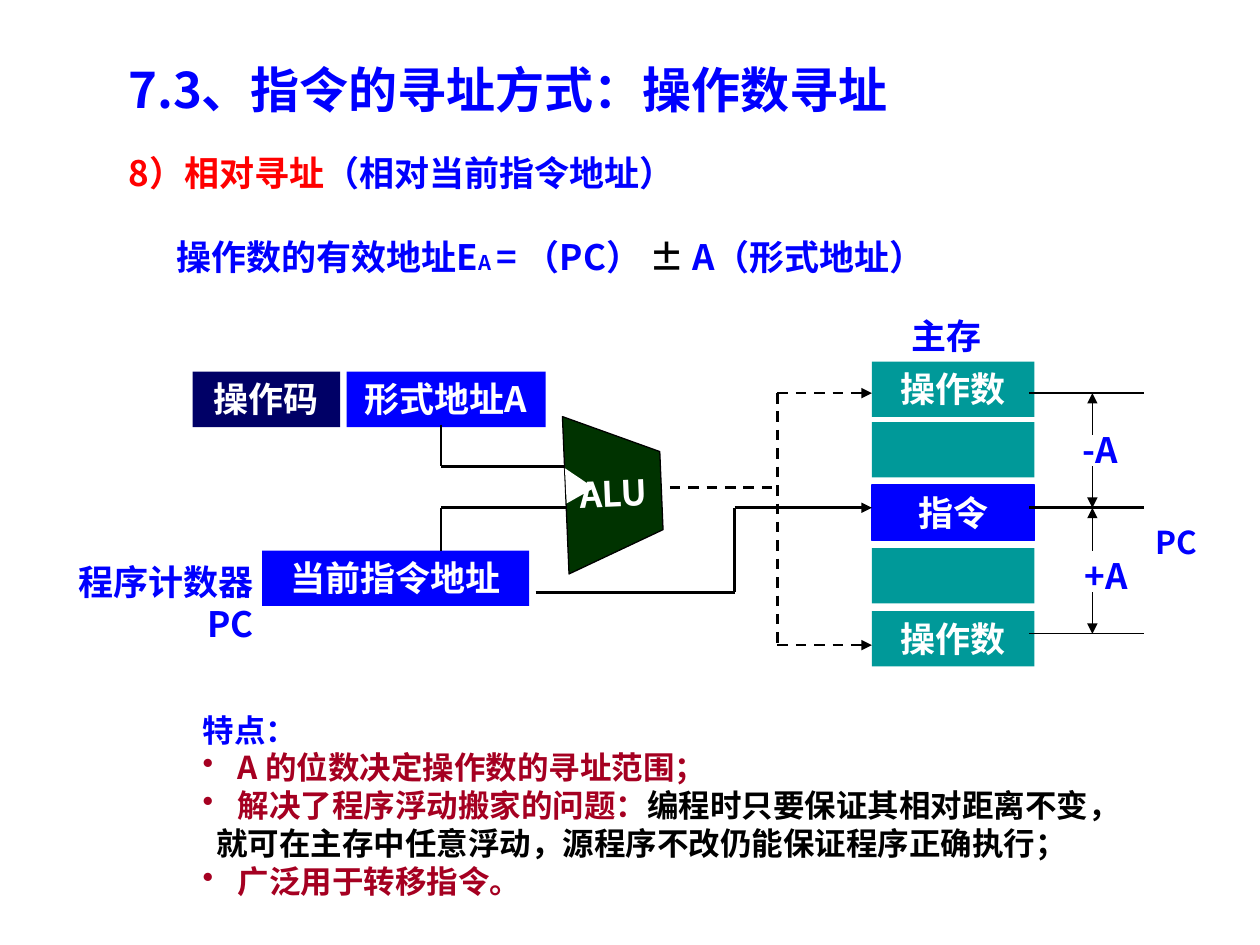
from dataclasses import dataclass
from typing import NamedTuple

from lxml.etree import SubElement
from pptx import Presentation
from pptx.dml.color import RGBColor
from pptx.enum.dml import MSO_LINE_DASH_STYLE as Dash
from pptx.enum.shapes import MSO_CONNECTOR as Connector, MSO_SHAPE as Shape
from pptx.enum.text import MSO_ANCHOR as Anchor, PP_ALIGN as Align
from pptx.oxml.ns import qn
from pptx.util import Inches, Pt

COLORS = {
    "blue": "0000FF",
    "navy": "000066",
    "teal": "009999",
    "green": "003300",
    "red": "FF0000",
    "crimson": "A50021",
    "black": "000000",
    "white": "FFFFFF",
}
FONT = "Noto Sans CJK SC"
FRAME_FORMAT = {
    "word_wrap": True,
    "vertical_anchor": Anchor.TOP,
    "margin_left": Inches(0.1),
    "margin_right": Inches(0.1),
    "margin_top": Inches(0.05),
    "margin_bottom": Inches(0.05),
}


class Run(NamedTuple):
    text: str
    color: str = "blue"
    baseline: int = 0


class Para(NamedTuple):
    runs: list[Run]
    margin: float = 0
    bullet: str = ""
    before: float = 0


@dataclass
class Label:
    left: float
    top: float
    width: float
    height: float
    paras: list[Para]
    size: int = 20
    align: Align = Align.LEFT


@dataclass
class Block:
    left: float
    top: float
    width: float
    text: str
    fill: str
    height: float = 0.44


class Wire(NamedTuple):
    x1: float
    y1: float
    x2: float
    y2: float
    width: float = 1.5
    dashed: bool = False
    arrow: bool = False


def rgb(color: str) -> RGBColor:
    return RGBColor.from_string(COLORS[color])


def add_bullet(paragraph, para: Para) -> None:
    props = paragraph._p.get_or_add_pPr()
    props.set("marL", str(Inches(para.margin)))
    props.set("indent", str(-Inches(para.margin) if para.bullet else 0))
    if para.bullet:
        color = SubElement(props, qn("a:buClr"))
        SubElement(color, qn("a:srgbClr")).set("val", COLORS[para.bullet])
        SubElement(props, qn("a:buChar")).set("char", "•")


def write(frame, paras: list[Para], size: int, align: Align, **changes) -> None:
    for attribute, value in {**FRAME_FORMAT, **changes}.items():
        setattr(frame, attribute, value)
    for index, para in enumerate(paras):
        paragraph = frame.add_paragraph() if index else frame.paragraphs[0]
        add_bullet(paragraph, para)
        layout = {"alignment": align, "line_spacing": Pt(size * 1.2)}
        if para.before:
            layout["space_before"] = Pt(para.before)
        for attribute, value in layout.items():
            setattr(paragraph, attribute, value)
        for part in para.runs:
            run = paragraph.add_run()
            run.text = part.text
            for attribute, value in {"size": Pt(size), "bold": True, "name": FONT}.items():
                setattr(run.font, attribute, value)
            run.font.color.rgb = rgb(part.color)
            props = run._r.get_or_add_rPr()
            SubElement(props, qn("a:ea")).set("typeface", FONT)
            if part.baseline:
                props.set("baseline", str(part.baseline))


def paint(shape, fill: str, outline: str = "") -> None:
    shape.shadow.inherit = False
    shape.fill.solid()
    shape.fill.fore_color.rgb = rgb(fill)
    if outline:
        shape.line.color.rgb = rgb(outline)
        shape.line.width = Pt(0.75)
    else:
        shape.line.fill.background()


def draw_label(slide, label: Label) -> None:
    box = slide.shapes.add_textbox(
        Inches(label.left), Inches(label.top), Inches(label.width), Inches(label.height))
    write(box.text_frame, label.paras, label.size, label.align)


def draw_block(slide, block: Block) -> None:
    shape = slide.shapes.add_shape(
        Shape.RECTANGLE, Inches(block.left), Inches(block.top),
        Inches(block.width), Inches(block.height))
    paint(shape, block.fill, "blue" if block.text == "指令" else "")
    if block.text:
        write(shape.text_frame, [Para([Run(block.text, "white")])], 20, Align.CENTER)


def draw_wire(slide, wire: Wire) -> None:
    line = slide.shapes.add_connector(
        Connector.STRAIGHT, Inches(wire.x1), Inches(wire.y1), Inches(wire.x2), Inches(wire.y2))
    line.line.color.rgb = rgb("black")
    line.line.width = Pt(wire.width)
    if wire.dashed:
        line.line.dash_style = Dash.DASH
    if wire.arrow:
        SubElement(line.line._get_or_add_ln(), qn("a:tailEnd")).set("type", "triangle")
    SubElement(line._element.spPr, qn("a:effectLst"))


def draw_alu(slide) -> None:
    builder = slide.shapes.build_freeform(Inches(4.49), Inches(3.29), scale=1.0)
    corners = [(5.25, 3.6), (5.25, 4.22), (4.49, 4.54)]
    builder.add_line_segments([(Inches(x), Inches(y)) for x, y in corners], close=True)
    alu = builder.convert_to_shape()
    alu.rotation = -2.4
    paint(alu, "green", "black")
    write(alu.text_frame, [Para([Run("ALU", "white")])], 20, Align.CENTER,
          word_wrap=False, vertical_anchor=Anchor.MIDDLE)
    notch = slide.shapes.add_shape(
        Shape.ISOSCELES_TRIANGLE, Inches(4.42), Inches(3.7), Inches(0.25), Inches(0.25))
    notch.rotation = 330.6
    paint(notch, "white")


MEMORY = [(2.87, "操作数", "teal"), (3.35, "", "teal"), (3.85, "指令", "blue"),
          (4.35, "", "teal"), (4.85, "操作数", "teal")]
BLOCKS = [Block(6.92, top, 1.29, text, fill) for top, text, fill in MEMORY] + [
    Block(1.53, 2.95, 1.17, "操作码", "navy"),
    Block(2.75, 2.95, 1.58, "形式地址A", "blue"),
    Block(2.08, 4.37, 2.12, "当前指令地址", "blue"),
]
ALU_INPUTS = [Wire(3.5, 3.37, 3.5, 3.7), Wire(3.5, 4.03, 3.5, 4.37),
              Wire(3.5, 3.7, 4.5, 3.7), Wire(3.5, 4.03, 4.5, 4.03)]
PC_ROUTE = [Wire(4.25, 4.7, 5.83, 4.7), Wire(5.83, 4.03, 5.83, 4.7),
            Wire(5.83, 4.03, 6.92, 4.03, arrow=True)]
ALU_OUTPUT = [Wire(5.17, 3.87, 6.17, 3.87, dashed=True),
              Wire(6.17, 3.12, 6.17, 5.12, dashed=True)]
ALU_OUTPUT += [Wire(6.17, y, 6.92, y, dashed=True, arrow=True) for y in (3.12, 5.12)]
LEVELS = [Wire(8.17, y, 9.08, y, width) for y, width in ((3.12, 0.75), (4.03, 1.5), (5.03, 0.75))]
OFFSETS = [Wire(8.67, start, 8.67, end, 0.75, arrow=True)
           for start, end in ((3.45, 3.12), (3.7, 4.03), (4.37, 4.03), (4.7, 5.03))]

LABELS = [
    Label(0.92, 0.42, 6.92, 0.57, [Para([Run("7.3、指令的寻址方式：操作数寻址")])], 28),
    Label(0.92, 1.15, 9.08, 1.15, [
        Para([Run("8）相对寻址", "red"), Run("（相对当前指令地址）")]),
        Para([Run("操作数的有效地址E"), Run("A ", baseline=-25), Run("= （PC） "),
              Run("±", "black"), Run(" A（形式地址）")], margin=0.38, before=24),
    ]),
    Label(6.83, 2.45, 1.37, 0.44, [Para([Run("主存")])], align=Align.CENTER),
    Label(0.4, 4.4, 1.71, 0.77, [Para([Run("程序计数器PC")])], align=Align.RIGHT),
    Label(8.39, 3.35, 0.58, 0.44, [Para([Run("-A")])], align=Align.RIGHT),
    Label(8.4, 4.35, 0.65, 0.44, [Para([Run("+A")])], align=Align.RIGHT),
    Label(8.92, 4.1, 0.68, 0.4, [Para([Run("PC")])], 18, Align.RIGHT),
    Label(1.51, 5.59, 7.91, 1.6, [
        Para([Run("特点：")]),
        Para([Run("A 的位数决定操作数的寻址范围；", "crimson")], 0.28, "crimson"),
        Para([Run("解决了程序浮动搬家的问题：", "crimson"),
              Run("编程时只要保证其相对距离不变，", "black")], 0.28, "crimson"),
        Para([Run("就可在主存中任意浮动，源程序不改仍能保证程序正确执行；", "black")], 0.11),
        Para([Run("广泛用于转移指令。", "crimson")], 0.28, "crimson"),
    ], 18),
]


def main() -> None:
    deck = Presentation()
    deck.slide_width, deck.slide_height = Inches(10), Inches(7.5)
    slide = deck.slides.add_slide(deck.slide_layouts[6])
    for block in BLOCKS:
        draw_block(slide, block)
    for wire in ALU_INPUTS + PC_ROUTE + ALU_OUTPUT + LEVELS + OFFSETS:
        draw_wire(slide, wire)
    draw_alu(slide)
    for label in LABELS:
        draw_label(slide, label)
    deck.save("out.pptx")


if __name__ == "__main__":
    main()
